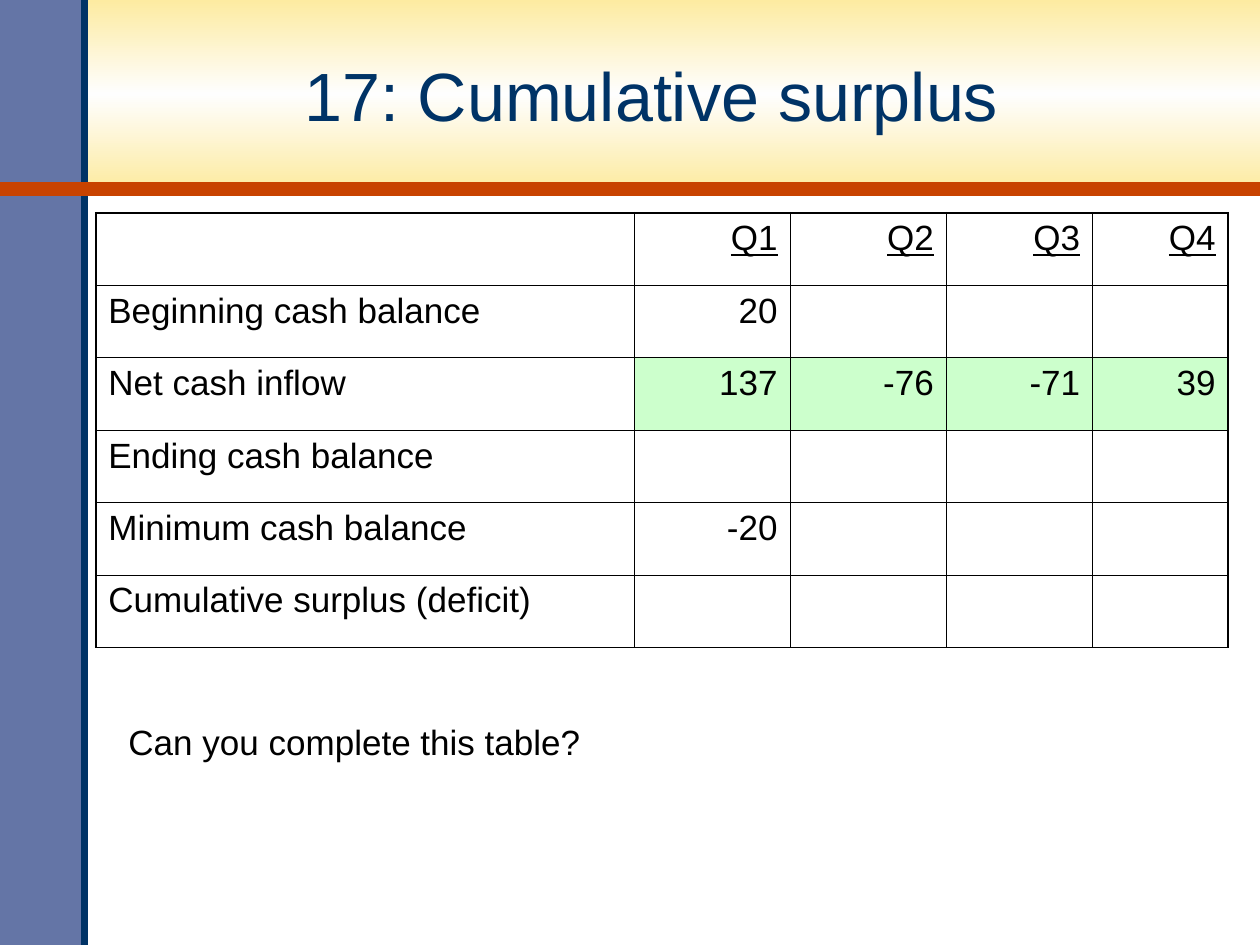
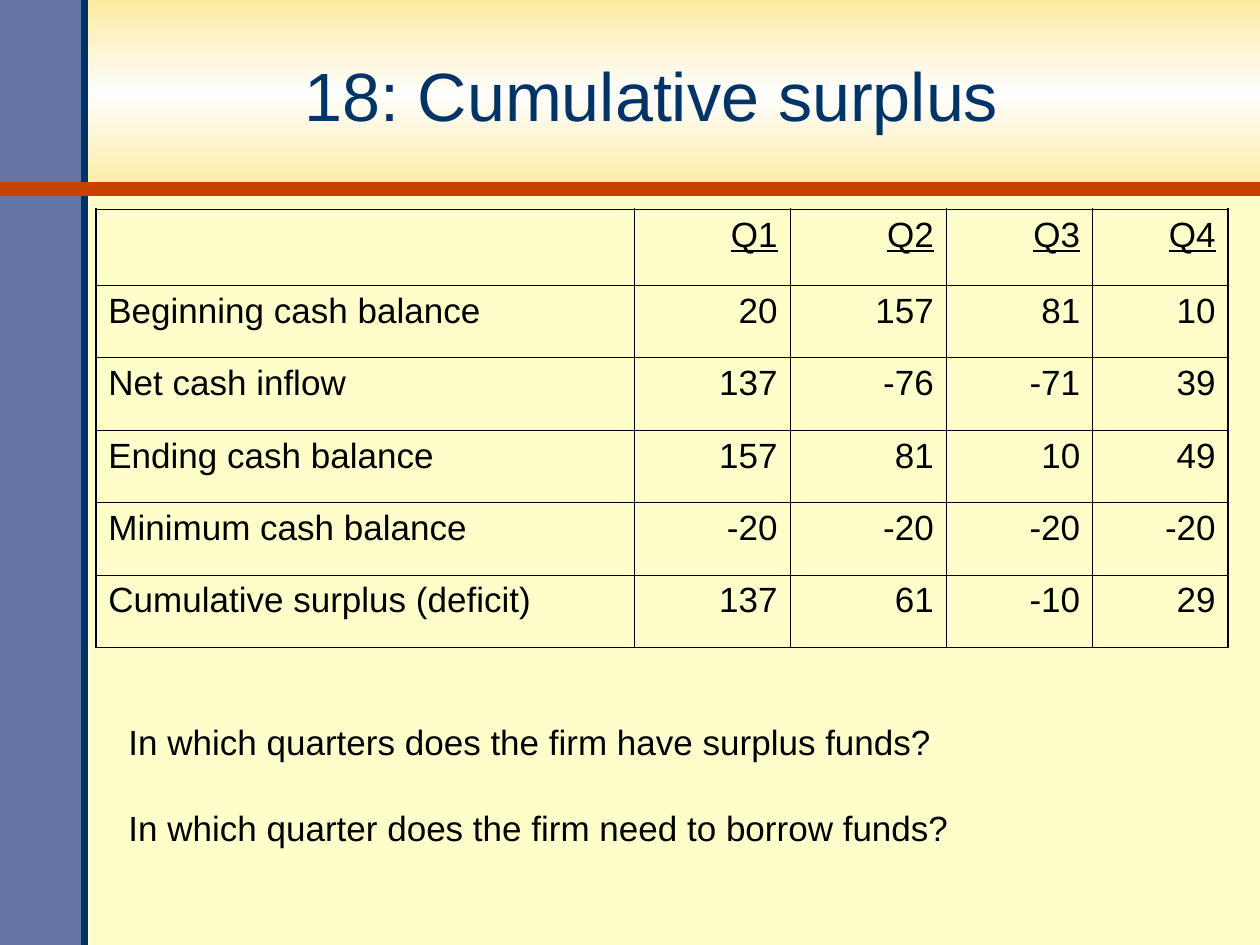
from copy import deepcopy

from lxml.etree import SubElement
from pptx import Presentation
from pptx.dml.color import RGBColor
from pptx.enum.shapes import MSO_CONNECTOR, MSO_SHAPE
from pptx.enum.text import MSO_ANCHOR, PP_ALIGN
from pptx.oxml.ns import qn
from pptx.util import Cm, Pt

WHITE = RGBColor(0xFF, 0xFF, 0xFF)
CREAM = RGBColor(0xFF, 0xFF, 0xCC)
GOLD = RGBColor(0xFD, 0xEB, 0xA1)
GLOW = RGBColor(0xFE, 0xFE, 0xFE)
SLATE = RGBColor(0x64, 0x75, 0xA6)
NAVY = RGBColor(0x00, 0x33, 0x66)
RUST = RGBColor(0xC8, 0x43, 0x00)
MINT = RGBColor(0xCC, 0xFF, 0xCC)
BLACK = RGBColor(0, 0, 0)

FONT = "Arial"
SLIDE_W, SLIDE_H = 25.4, 19.05
BAND_H, BAR_W = 3.81, 1.7
TITLE_BOX = (1.65, 0.38, 22.96, 3.05)
TABLE_LEFT, BODY_TOP = 1.93, 5.75
COL_WIDTHS = (10.85, 3.15, 3.15, 2.95, 2.73)
ROW_H = 1.46
OUTER, INNER = Pt(1.08), Pt(0.45)
QUESTION_LEFT, QUESTION_TOP = 2.34, 14.4

QUARTERS = ("Q1", "Q2", "Q3", "Q4")
ROW_LABELS = ("Beginning cash balance", "Net cash inflow", "Ending cash balance",
              "Minimum cash balance", "Cumulative surplus (deficit)")
INFLOW_ROW = 2


def style(p, size, color, align=PP_ALIGN.LEFT, underline=None):
    p.alignment = align
    for r in p.runs:
        r.font.name, r.font.size, r.font.underline = FONT, Pt(size), underline
        r.font.color.rgb = color


def add_rect(slide, box):
    sp = slide.shapes.add_shape(MSO_SHAPE.RECTANGLE, *map(Cm, box))
    sp.shadow.inherit = False
    sp.line.fill.background()
    return sp


def add_rule(slide, start, end, color, width):
    line = slide.shapes.add_connector(MSO_CONNECTOR.STRAIGHT, *map(Cm, start + end))
    line.line.color.rgb = color
    line.line.width = Pt(width)
    SubElement(line._element.spPr, qn("a:effectLst"))


def add_frame(slide, background):
    """Background, glowing title band, side bar and the two rules."""
    fill = slide.background.fill
    fill.solid()
    fill.fore_color.rgb = background

    band = add_rect(slide, (0, 0, SLIDE_W, BAND_H))
    band.fill.gradient()
    band.fill.gradient_angle = 90
    stops = band._element.spPr.find(qn("a:gradFill")).find(qn("a:gsLst"))
    stops.append(deepcopy(stops[0]))
    for stop, position, color in zip(band.fill.gradient_stops, (0, 0.5, 1),
                                     (GOLD, GLOW, GOLD)):
        stop.position = position
        stop.color.rgb = color

    bar = add_rect(slide, (0, 0, BAR_W, SLIDE_H))
    bar.fill.solid()
    bar.fill.fore_color.rgb = SLATE
    add_rule(slide, (BAR_W, SLIDE_H), (BAR_W, 0), NAVY, 4)
    add_rule(slide, (0, BAND_H), (SLIDE_W, BAND_H), RUST, 8)


def add_text(slide, box, lines, size, color, align=PP_ALIGN.LEFT,
             anchor=MSO_ANCHOR.TOP, gap=0):
    tf = slide.shapes.add_textbox(*map(Cm, box)).text_frame
    tf.word_wrap = True
    tf.vertical_anchor = anchor
    tf.text = "\n".join(lines)
    for i, p in enumerate(tf.paragraphs):
        style(p, size, color, align)
        if i:
            p.space_before = Pt(gap)


def set_borders(cell, widths):
    """Draw black borders; widths run left, right, top, bottom."""
    tc_pr = cell._tc.get_or_add_tcPr()
    for side, width in zip("LRTB", widths):
        ln = SubElement(tc_pr, qn(f"a:ln{side}"), w=str(int(width)))
        fill = SubElement(ln, qn("a:solidFill"))
        SubElement(fill, qn("a:srgbClr"), val=str(BLACK))


def add_cash_table(slide, values, header_h, highlight):
    rows = [("",) + QUARTERS]
    rows += [(label,) + row for label, row in zip(ROW_LABELS, values)]
    last_row, last_col = len(rows) - 1, len(COL_WIDTHS) - 1
    heights = [header_h] + [ROW_H] * last_row
    table = slide.shapes.add_table(
        len(rows), len(COL_WIDTHS), Cm(TABLE_LEFT), Cm(BODY_TOP - header_h),
        Cm(sum(COL_WIDTHS)), Cm(sum(heights))).table
    table.first_row = table.horz_banding = False
    for column, width in zip(table.columns, COL_WIDTHS):
        column.width = Cm(width)
    for row, height in zip(table.rows, heights):
        row.height = Cm(height)

    for i, row in enumerate(rows):
        for j, value in enumerate(row):
            cell = table.cell(i, j)
            edges = (j == 0, j == last_col, i == 0, i == last_row)
            set_borders(cell, [OUTER if edge else INNER for edge in edges])
            if highlight and i == INFLOW_ROW and j:
                cell.fill.solid()
                cell.fill.fore_color.rgb = MINT
            else:
                cell.fill.background()
            if value != "":
                cell.text = str(value)
                style(cell.text_frame.paragraphs[0], 20, BLACK,
                      PP_ALIGN.RIGHT if j else PP_ALIGN.LEFT, i == 0)


def add_cash_slide(prs, title, background, values, questions, question_size,
                   header_h=ROW_H, highlight=False):
    slide = prs.slides.add_slide(prs.slide_layouts[6])
    add_frame(slide, background)
    add_text(slide, TITLE_BOX, [title], 39, NAVY, PP_ALIGN.CENTER, MSO_ANCHOR.MIDDLE)
    add_cash_table(slide, values, header_h, highlight)
    add_text(slide, (QUESTION_LEFT, QUESTION_TOP) + question_size, questions,
             20, BLACK, gap=25)


def main():
    prs = Presentation()
    prs.slide_width, prs.slide_height = Cm(SLIDE_W), Cm(SLIDE_H)
    inflow = (137, -76, -71, 39)
    blank = ("",) * 4
    add_cash_slide(
        prs, "17: Cumulative surplus", WHITE,
        [(20, "", "", ""), inflow, blank, (-20, "", "", ""), blank],
        ["Can you complete this table?"], (11.23, 1.96), highlight=True)
    add_cash_slide(
        prs, "18: Cumulative surplus", CREAM,
        [(20, 157, 81, 10), inflow, (157, 81, 10, 49), (-20,) * 4, (137, 61, -10, 29)],
        ["In which quarters does the firm have surplus funds?",
         "In which quarter does the firm need to borrow funds?"],
        (21.39, 3.66), header_h=1.53)
    prs.save("out.pptx")


if __name__ == "__main__":
    main()
